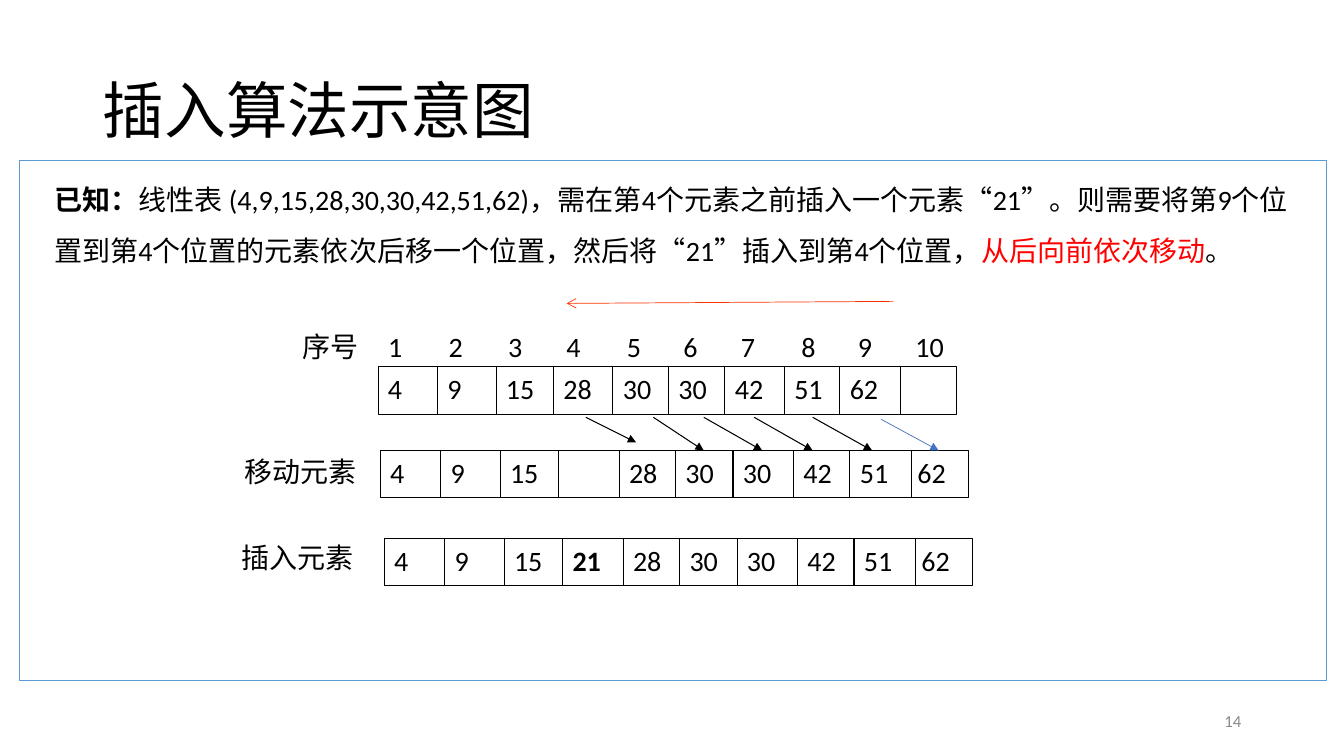
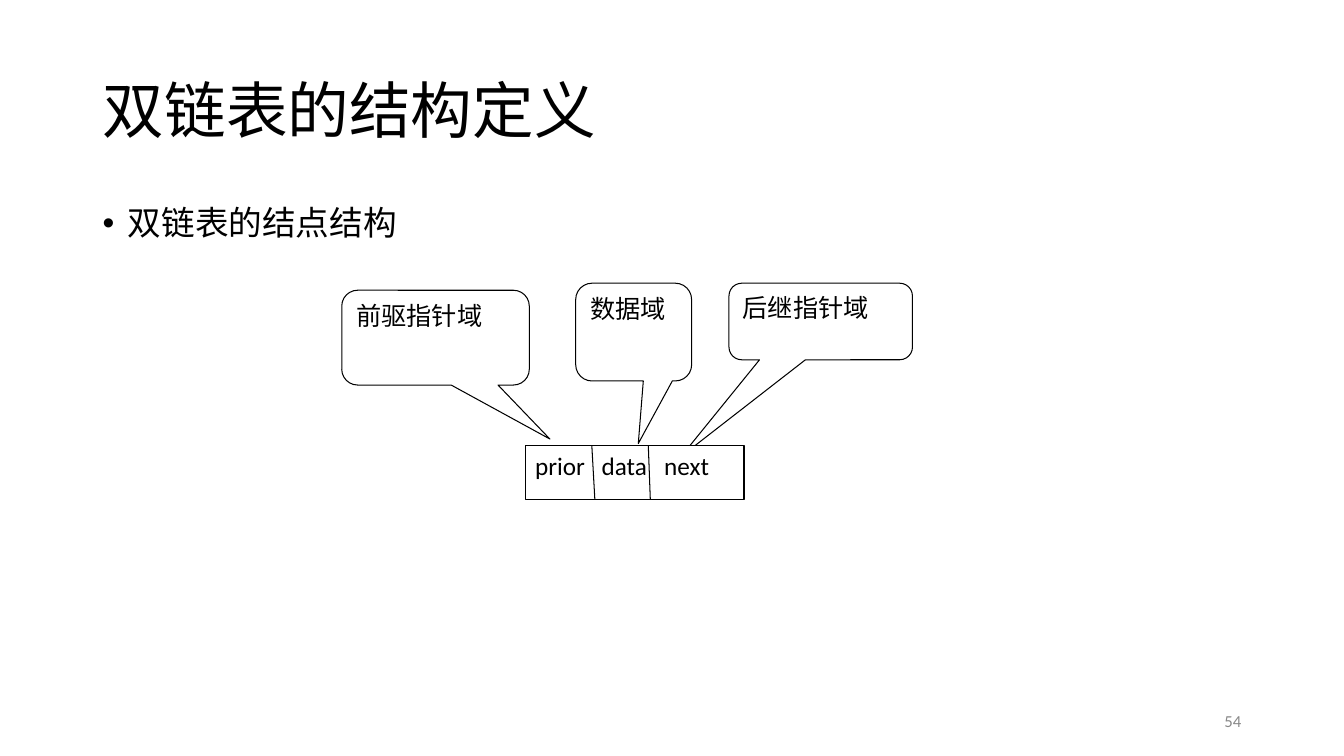
from lxml.etree import SubElement
from pptx import Presentation
from pptx.dml.color import RGBColor
from pptx.enum.lang import MSO_LANGUAGE_ID
from pptx.enum.shapes import MSO_CONNECTOR, MSO_SHAPE
from pptx.enum.text import MSO_ANCHOR, PP_ALIGN
from pptx.oxml.ns import qn
from pptx.util import Pt

PX = 9144  # EMU in one px, 100 px to the inch


def px(length):
    return round(length * PX)


def color(hex_string):
    return RGBColor.from_string(hex_string)


def write(frame, text, size=20, ink="000000", font="Calibri", asian=None,
          align=PP_ALIGN.JUSTIFY, anchor=MSO_ANCHOR.TOP, bold=None, spacing=None,
          margin=0, hanging=0, right_inset=10, bullet=None, tabs=()):
    """Fill a frame with one paragraph; text is a string or (string, overrides) pairs."""
    frame.word_wrap = True
    frame.vertical_anchor = anchor
    frame.margin_right = px(right_inset)
    paragraph = frame.paragraphs[0]
    paragraph.alignment = align
    properties = paragraph._p.get_or_add_pPr()
    if margin:
        properties.set("marL", str(px(margin)))
        properties.set("indent", str(-px(hanging)))
    if bullet:
        SubElement(properties, qn("a:buFont"), typeface="Arial")
        SubElement(properties, qn("a:buChar"), char=bullet)
    if tabs:
        stops = SubElement(properties, qn("a:tabLst"))
        for stop in tabs:
            SubElement(stops, qn("a:tab"), pos=str(px(stop)), algn="l")
    if spacing:
        paragraph.line_spacing = spacing
    base = dict(ink=ink, font=font, asian=asian, bold=bold)
    for words, changes in [(text, {})] if isinstance(text, str) else text:
        style = base | changes
        run = paragraph.add_run()
        run.text = words
        run.font.size = Pt(size)
        run.font.bold = style["bold"]
        run.font.color.rgb = color(style["ink"])
        run.font.language_id = MSO_LANGUAGE_ID.SIMPLIFIED_CHINESE
        run.font.name = style["font"]
        SubElement(run.font._element, qn("a:ea"), typeface=style["asian"] or style["font"])


class Deck:
    ink = "000000"
    paper = "FFFFFF"
    gray = "898989"
    blue = "5B9BD5"
    asian_font = "Noto Sans CJK SC"

    def __init__(self):
        self.presentation = Presentation()
        self.presentation.slide_width = px(1333)
        self.presentation.slide_height = px(750)
        self.slide = None

    def add_slide(self, title, number):
        self.slide = self.presentation.slides.add_slide(self.presentation.slide_layouts[5])
        heading = self.slide.shapes.title
        heading.left, heading.top, heading.width, heading.height = map(px, (92, 40, 1150, 145))
        write(heading.text_frame, title, size=44, font=self.asian_font,
              align=PP_ALIGN.LEFT, anchor=MSO_ANCHOR.MIDDLE, spacing=0.9)
        self.text(number, 941, 695, 300, 40, size=12, ink=self.gray,
                  align=PP_ALIGN.RIGHT, anchor=MSO_ANCHOR.MIDDLE)

    def text(self, text, left, top, width, height, **style):
        box = self.slide.shapes.add_textbox(*map(px, (left, top, width, height)))
        write(box.text_frame, text, **style)

    def shape(self, text, left, top, width, height, kind=MSO_SHAPE.RECTANGLE,
              fill=paper, line=ink, adjustments=(), **style):
        shape = self.slide.shapes.add_shape(kind, *map(px, (left, top, width, height)))
        shape.shadow.inherit = False
        for index, value in enumerate(adjustments):
            shape.adjustments[index] = value
        if fill:
            shape.fill.solid()
            shape.fill.fore_color.rgb = color(fill)
        else:
            shape.fill.background()
        if line:
            shape.line.color.rgb = color(line)
            shape.line.width = Pt(0.75)
        else:
            shape.line.fill.background()
        if text:
            write(shape.text_frame, text, **style)

    def line(self, start, end, ink=ink, width=0.75, head=None):
        connector = self.slide.shapes.add_connector(
            MSO_CONNECTOR.STRAIGHT, *map(px, (*start, *end)))
        connector.line.color.rgb = color(ink)
        connector.line.width = Pt(width)
        properties = connector.element.spPr
        if head:
            SubElement(properties.find(qn("a:ln")), qn("a:tailEnd"), type=head)
        SubElement(properties, qn("a:effectLst"))

    def callout(self, text, left, top, width, height, tip):
        self.shape(text, left, top, width, height, size=18,
                   kind=MSO_SHAPE.ROUNDED_RECTANGULAR_CALLOUT, adjustments=(*tip, 0.167))


CELL_OFFSETS = (0, 60, 119, 177, 237, 293, 350, 410, 466, 523)
CELL_WIDTH, CELL_HEIGHT = 61, 47


def cell_row(deck, values, left, top, scale=1.0, bold_value=None):
    """Draw a row of cells, the last one tucked under its left neighbour."""
    for index in (*range(8), 9, 8):
        value = values[index]
        deck.shape(value, left + round(CELL_OFFSETS[index] * scale), top,
                   round(CELL_WIDTH * scale), CELL_HEIGHT,
                   bold=True if value == bold_value else None)


def insertion_slide(deck):
    deck.add_slide("插入算法示意图", "14")
    quote = dict(font="Times New Roman", asian=deck.asian_font)
    quoted_value = [("“", quote), ("21", {}), ("”", quote)]
    deck.shape([
        ("已知：", dict(bold=True)),
        ("线性表 ", {}),
        ("(4,9,15,28,30,30,42,51,62)", {}),
        ("，需在第4个元素之前插入一个元素", {}),
        *quoted_value,
        ("。则需要将第9个位置到第4个位置的元素依次后移一个位置，然后将", {}),
        *quoted_value,
        ("插入到第4个位置，", {}),
        ("从后向前依次移动", dict(ink="FF0000")),
        ("。", {}),
    ], 19, 159, 1297, 516, fill=None, line=deck.blue, asian=deck.asian_font,
        align=PP_ALIGN.LEFT, spacing=Pt(36.5), margin=25, right_inset=17)

    for label, left, top, width, height in (
            ("序号", 273, 322, 93, 46),
            ("移动元素", 218, 446, 146, 51),
            ("插入元素", 215, 531, 146, 57)):
        deck.shape(label, left, top, width, height, line=None, align=PP_ALIGN.RIGHT)

    for position, offset in enumerate(CELL_OFFSETS, start=1):
        deck.text(str(position), 375 + offset, 322, CELL_WIDTH, CELL_HEIGHT)

    before, after = ["4", "9", "15"], ["28", "30", "30", "42", "51", "62"]
    cell_row(deck, [*before, *after, ""], 375, 364, scale=0.983)
    cell_row(deck, [*before, "", *after], 377, 447)
    cell_row(deck, [*before, "21", *after], 381, 534, bold_value="21")

    deck.line((581, 414), (631, 439), head="triangle")
    for start, end in ((648, 698), (698, 756), (748, 806), (806, 865)):
        deck.line((start, 414), (end, 447), head="triangle")
    deck.line((874, 416), (931, 447), ink="4472C4", width=0.5, head="triangle")
    deck.line((886, 299), (562, 301), ink="FF3300", width=0.5, head="arrow")


def node_slide(deck):
    deck.add_slide("双链表的结构定义", "54")
    deck.text("双链表的结点结构", 92, 200, 1150, 476, size=24, spacing=0.9,
              margin=25, hanging=25, bullet="•")
    deck.callout("后继指针域", 723, 281, 182, 76, tip=(-0.76, 1.76))
    deck.shape("prior\tdata\tnext", 521, 442, 217, 54, size=18, tabs=(66, 128))
    deck.line((587, 442), (590, 496))
    deck.line((643, 442), (645, 496))
    deck.callout("前驱指针域", 339, 288, 186, 94, tip=(0.61, 1.07))
    deck.callout("数据域", 571, 281, 115, 97, tip=(0.04, 1.14))


def main():
    deck = Deck()
    insertion_slide(deck)
    node_slide(deck)
    deck.presentation.save("out.pptx")


if __name__ == "__main__":
    main()
